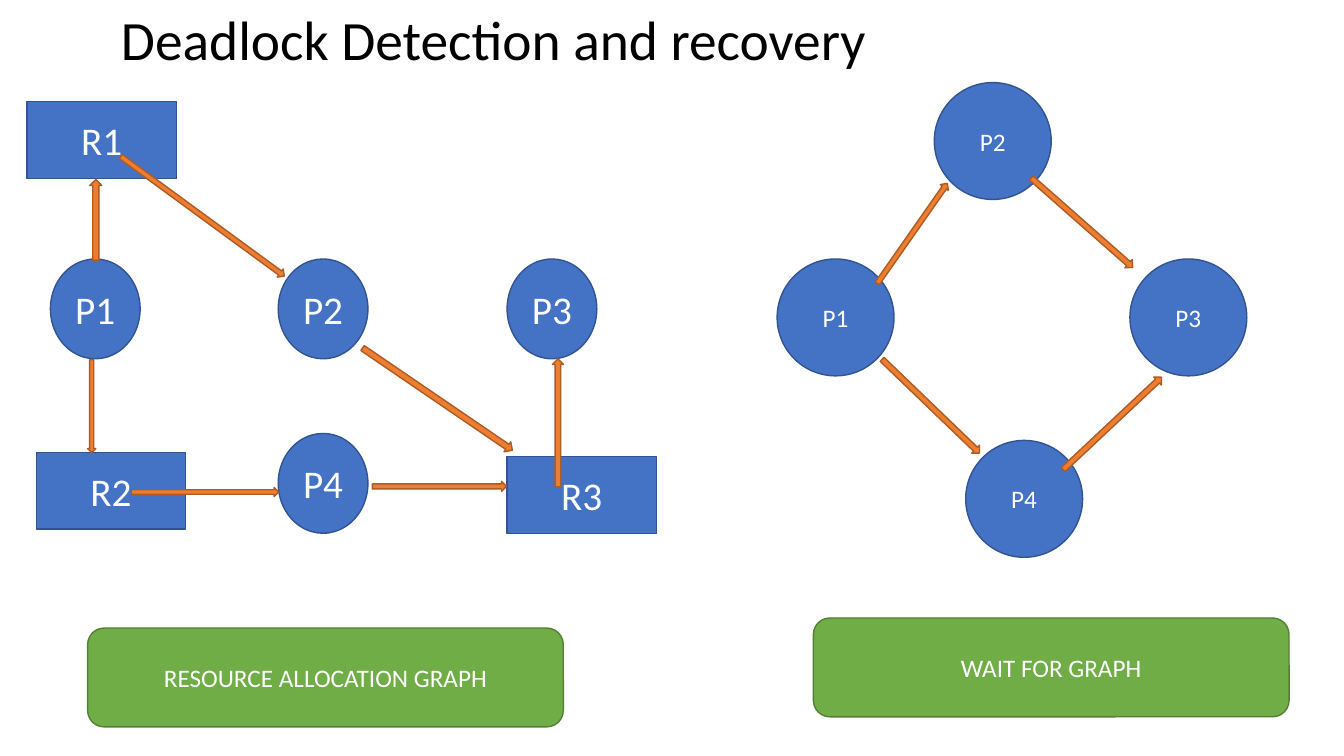
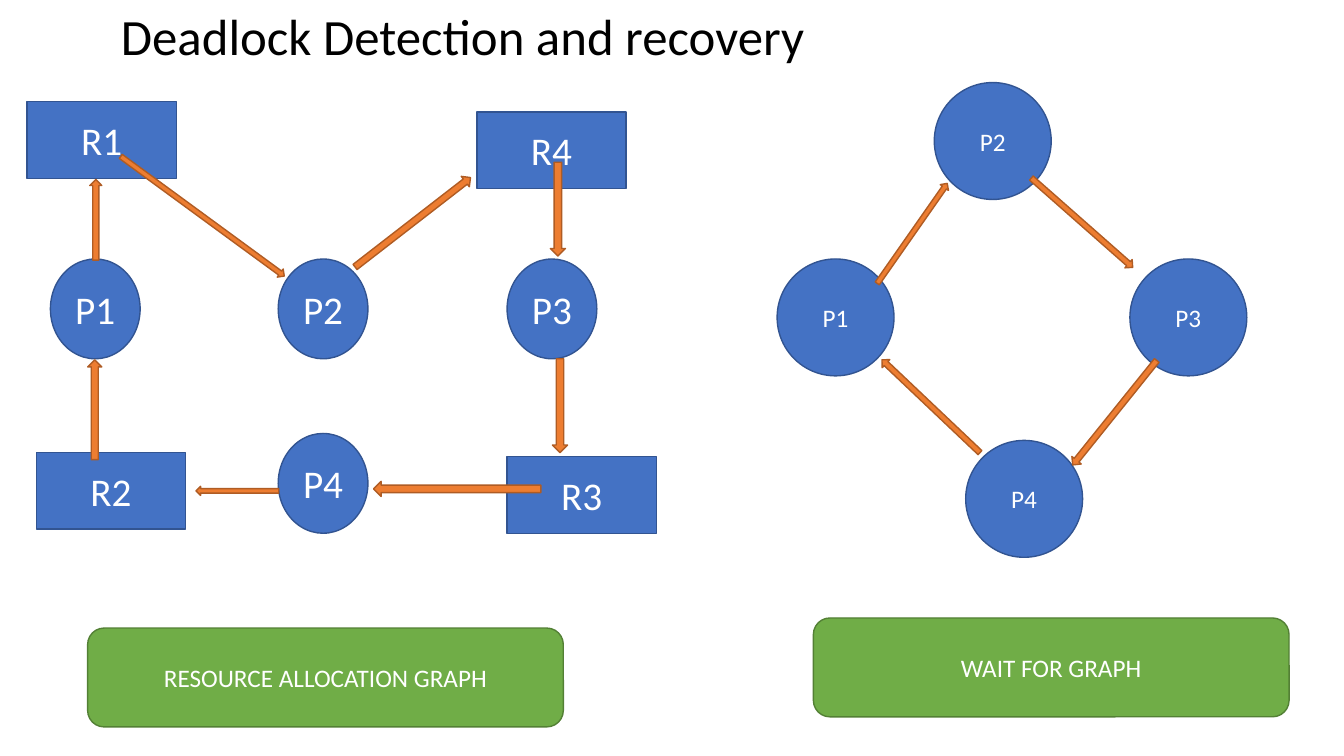
import math
from pptx import Presentation
from pptx.util import Pt
from pptx.dml.color import RGBColor
from pptx.enum.shapes import MSO_SHAPE
from pptx.enum.text import MSO_ANCHOR, MSO_AUTO_SIZE, PP_ALIGN

# Shared style
FONT = "Calibri"
COLORS = {"node": "4472C4", "node_line": "325491", "arrow": "ED7D31",
          "arrow_line": "AF5C24", "caption": "70AD47", "caption_line": "538035",
          "title": "000000", "label": "FFFFFF"}
RESOURCE_SIZE = (106.6, 54.7)
PROCESS_SIZE = (64.1, 71.3)
WAIT_SIZE = (83.5, 83.5)
CAPTION_SIZE = (339.8, 70.6)
TITLE = "Deadlock Detection and recovery"
TITLE_BOX = (79.2, 10.1, 828, 41)

# Nodes: label -> left, top
RESOURCES = {"R1": (19.4, 72.7), "R2": (25.9, 323.3), "R3": (362.2, 326.2)}
COLUMNS = (36, 198.7, 362.2)
PROCESSES = {"P1": (COLUMNS[0], 185), "P2": (COLUMNS[1], 185),
             "P3": (COLUMNS[2], 185), "P4": (COLUMNS[1], 309.6)}
WAITERS = {"P1": (555.1, 185), "P2": (667.4, 59),
           "P3": (807.1, 185), "P4": (689.8, 314.6)}
CAPTIONS = {"RESOURCE ALLOCATION GRAPH": (62.6, 448.6), "WAIT FOR GRAPH": (581, 441.4)}

# Arrows: tail, tip, width
SHARED_ARROWS = [
    ((68.4, 185.8), (68.4, 128.2), 8.6),       # P1 requests R1
    ((86.3, 111.7), (203.1, 197.2), 7.2),      # R1 held by P2
    ((626.6, 202.4), (676.6, 131), 7.2),       # P1 waits for P2
    ((736.7, 127.2), (809.1, 191), 7.9),       # P2 waits for P3
]
SLIDES = [
    {"size": 39.6, "spacing": 0.9, "resources": {}, "arrows": [
        ((398.5, 347.8), (398.5, 256.3), 7.9),     # R3 held by P3
        ((259, 248.6), (366, 321.6), 8.6),         # P2 requests R3
        ((65.5, 257), (65.5, 323.3), 5.8),         # P1 requests R2
        ((266, 347.4), (361.8, 347.4), 7.2),       # P4 requests R3
        ((94, 351.4), (199.1, 351.4), 6.5),        # R2 held by P4
        ((759.4, 335.4), (829.7, 269.4), 7.9),     # P4 waits for P3
        ((630.1, 256.7), (699.7, 323.6), 7.9),     # P1 waits for P4
    ]},
    {"size": 36.3, "spacing": 0.7, "resources": {"R4": (340.6, 79.9)}, "arrows": [
        ((400, 256.3), (400, 323.3), 10.8),        # P3 requests R3
        ((253.6, 190.7), (336.1, 126.8), 9.4),     # P2 requests R4
        ((67.7, 328.3), (67.7, 257), 10.1),        # R2 held by P1
        ((386.3, 349.2), (266.8, 349.2), 10.8),    # R3 held by P4
        ((199.1, 350.6), (140, 350.6), 6.5),       # P4 requests R2
        ((398.5, 115.9), (398.5, 182.9), 10.8),    # R4 held by P3
        ((826.3, 257.5), (766.3, 332.1), 8.6),     # P3 waits for P4
        ((700, 323.3), (630, 257), 7.9),           # P4 waits for P1
    ]},
]


def add_run(p, content, size, color):
    r = p.add_run()
    r.text = content
    r.font.name = FONT
    r.font.size = Pt(size)
    r.font.color.rgb = RGBColor.from_string(COLORS[color])


def add_block(s, kind, left, top, width, height, style):
    sp = s.shapes.add_shape(kind, Pt(left), Pt(top), Pt(width), Pt(height))
    sp.shadow.inherit = False
    sp.fill.solid()
    sp.fill.fore_color.rgb = RGBColor.from_string(COLORS[style])
    sp.line.color.rgb = RGBColor.from_string(COLORS[style + "_line"])
    sp.line.width = Pt(1)
    return sp


def add_labels(s, items, kind, box_size, style, size):
    for label, (left, top) in items.items():
        tf = add_block(s, kind, left, top, *box_size, style).text_frame
        tf.margin_left = tf.margin_right = 0
        tf.word_wrap = True
        tf.vertical_anchor = MSO_ANCHOR.MIDDLE
        p = tf.paragraphs[0]
        p.alignment = PP_ALIGN.CENTER
        add_run(p, label, size, "label")


def add_arrow(s, tail, tip, width):
    dx, dy = tip[0] - tail[0], tip[1] - tail[1]
    length = math.hypot(dx, dy)
    left = (tail[0] + tip[0] - width) / 2
    top = (tail[1] + tip[1] - length) / 2
    sp = add_block(s, MSO_SHAPE.DOWN_ARROW, left, top, width, length, "arrow")
    sp.rotation = math.degrees(math.atan2(-dx, dy)) % 360


def add_title(s, size, spacing):
    sp = s.shapes.title
    sp.left, sp.top, sp.width, sp.height = map(Pt, TITLE_BOX)
    tf = sp.text_frame
    tf.word_wrap = True
    tf.auto_size = MSO_AUTO_SIZE.NONE
    tf.vertical_anchor = MSO_ANCHOR.MIDDLE
    p = tf.paragraphs[0]
    p.alignment = PP_ALIGN.LEFT
    p.line_spacing = spacing
    add_run(p, TITLE, size, "title")


def main():
    prs = Presentation()
    prs.slide_width, prs.slide_height = Pt(960), Pt(540)
    for spec_row in SLIDES:
        s = prs.slides.add_slide(prs.slide_layouts[5])
        add_title(s, spec_row["size"], spec_row["spacing"])
        resources = {**RESOURCES, **spec_row["resources"]}
        add_labels(s, resources, MSO_SHAPE.RECTANGLE, RESOURCE_SIZE, "node", 28)
        add_labels(s, PROCESSES, MSO_SHAPE.OVAL, PROCESS_SIZE, "node", 28)
        add_labels(s, WAITERS, MSO_SHAPE.OVAL, WAIT_SIZE, "node", 18)
        for arrow in SHARED_ARROWS + spec_row["arrows"]:
            add_arrow(s, *arrow)
        add_labels(s, CAPTIONS, MSO_SHAPE.ROUNDED_RECTANGLE, CAPTION_SIZE, "caption", 18)
    prs.save("out.pptx")


if __name__ == "__main__":
    main()
